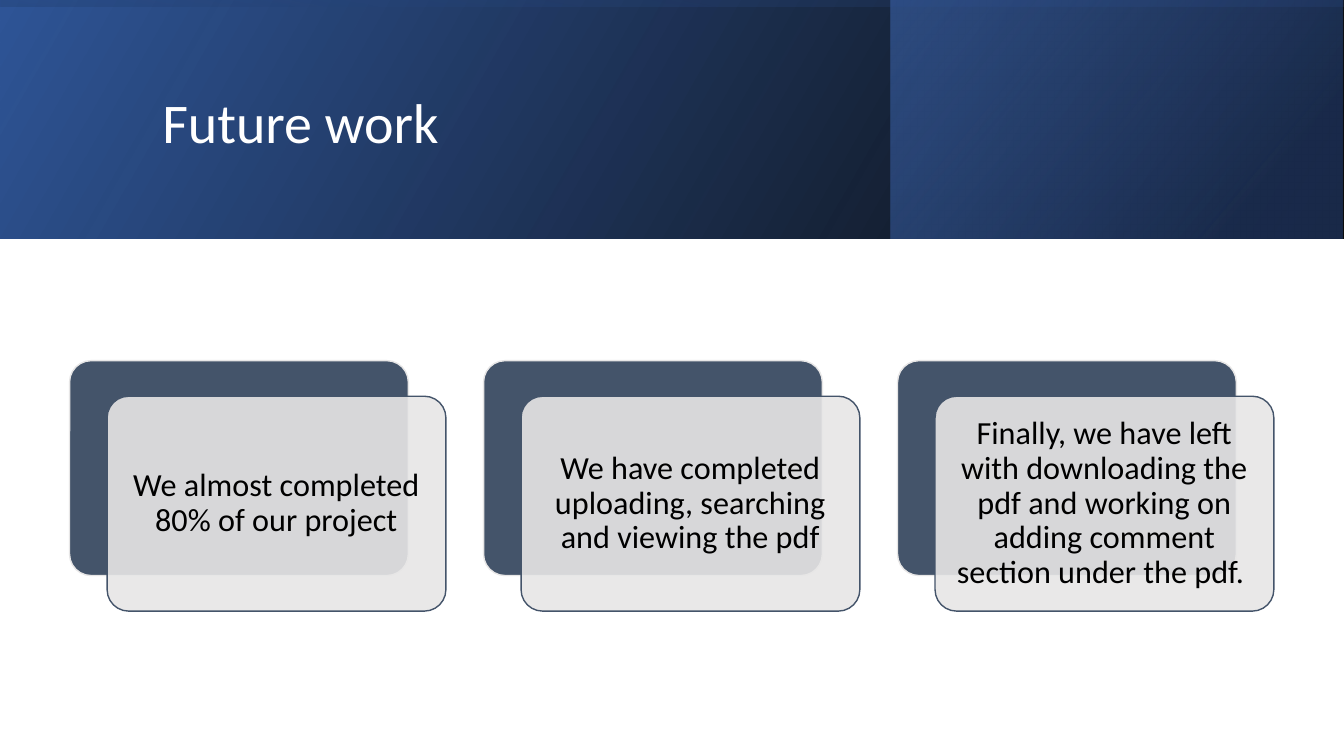
from lxml.etree import SubElement
from pptx import Presentation
from pptx.dml.color import RGBColor
from pptx.enum.shapes import MSO_SHAPE as Preset
from pptx.enum.text import MSO_ANCHOR as Anchor, PP_ALIGN as Align
from pptx.oxml.ns import qn
from pptx.util import Pt

PAGE = (960, 540)
BANNER = (0, 0, 960, 170.6)
CARDS = (49.7, 257.6, 860.2, 178.9)
CARD_SIZE = (242, 153.5)
STATEMENTS = [
    "We almost completed 80% of our project",
    "We have completed uploading, searching and viewing the pdf",
    "Finally, we have left with downloading the pdf and working on "
    "adding comment section under the pdf. ",
]


def colour(code):
    return RGBColor.from_string(code)


def set_opacity(colour_element, percent):
    SubElement(colour_element, qn("a:alpha"), val=str(percent * 1000))


def apply_format(target, values):
    for attribute, value in values.items():
        setattr(target, attribute, value)


def write_text(frame, text, size, code, align):
    apply_format(frame, {"word_wrap": True, "vertical_anchor": Anchor.MIDDLE})
    frame.text = text
    paragraph = frame.paragraphs[0]
    apply_format(paragraph, {"alignment": align, "line_spacing": 0.9})
    apply_format(paragraph.font, {"name": "Calibri", "size": Pt(size)})
    paragraph.font.color.rgb = colour(code)


def add_panel(slide, preset, box):
    panel = slide.shapes.add_shape(preset, *map(Pt, box))
    panel.shadow.inherit = False
    return panel


def add_gradient_band(slide, box, stops, angle, rotation=0):
    band = add_panel(slide, Preset.RECTANGLE, box)
    band.line.fill.background()
    band.rotation = rotation
    band._element.spPr.xfrm.set("flipH", "1")
    band.fill.gradient()
    band.fill.gradient_angle = angle
    for stop, (position, code, _) in zip(band.fill.gradient_stops, stops):
        stop.position = position
        stop.color.rgb = colour(code)
    colours = list(band._element.spPr.iter(qn("a:srgbClr")))
    for element, (_, _, opacity) in zip(colours, stops):
        set_opacity(element, opacity)


def add_banner(slide, box, heading):
    left, top, width, height = box
    right_part = (left + 636.5, top, 322.6, height)
    turned = (left + (width - height) / 2, top + (height - width) / 2, height, width)
    add_gradient_band(slide, box, [(0, "000000", 96), (1, "2F5597", 100)], 30)
    add_gradient_band(slide, right_part, [(0.19, "203864", 68), (1, "4472C4", 48)], 40)
    add_gradient_band(slide, turned, [(0.23, "2F5597", 16), (0.99, "000000", 45)], 10, 270)

    title = slide.shapes.title
    apply_format(title, {
        "left": Pt(left + 108.7), "top": Pt(top + 27.4),
        "width": Pt(765.4), "height": Pt(123.8),
    })
    write_text(title.text_frame, heading, 40, "FFFFFF", Align.LEFT)
    slide.shapes._spTree.append(title._element)


def add_card_layer(slide, box, fill, outline):
    layer = add_panel(slide, Preset.ROUNDED_RECTANGLE, box)
    layer.adjustments[0] = 0.1
    layer.fill.solid()
    layer.fill.fore_color.rgb = colour(fill)
    layer.line.color.rgb = colour(outline)
    layer.line.width = Pt(1)
    return layer


def add_cards(slide, box, statements):
    left, top, width, height = box
    card_width, card_height = CARD_SIZE
    shift_x, shift_y = 26.8, height - card_height
    pitch = (width - card_width - shift_x) / (len(statements) - 1)
    for index, statement in enumerate(statements):
        x = left + index * pitch
        add_card_layer(slide, (x, top, *CARD_SIZE), "44546A", "E7E6E6")
        front = add_card_layer(
            slide, (x + shift_x, top + shift_y, *CARD_SIZE), "E7E6E6", "44546A")
        set_opacity(next(front._element.spPr.iter(qn("a:srgbClr"))), 90)
        sides = ("left", "top", "right", "bottom")
        apply_format(front.text_frame, {f"margin_{side}": Pt(7.2) for side in sides})
        write_text(front.text_frame, statement, 23, "000000", Align.CENTER)


def main():
    deck = Presentation()
    deck.slide_width, deck.slide_height = map(Pt, PAGE)
    slide = deck.slides.add_slide(deck.slide_layouts[5])
    add_banner(slide, BANNER, "Future work")
    add_cards(slide, CARDS, STATEMENTS)
    deck.save("out.pptx")


if __name__ == "__main__":
    main()
